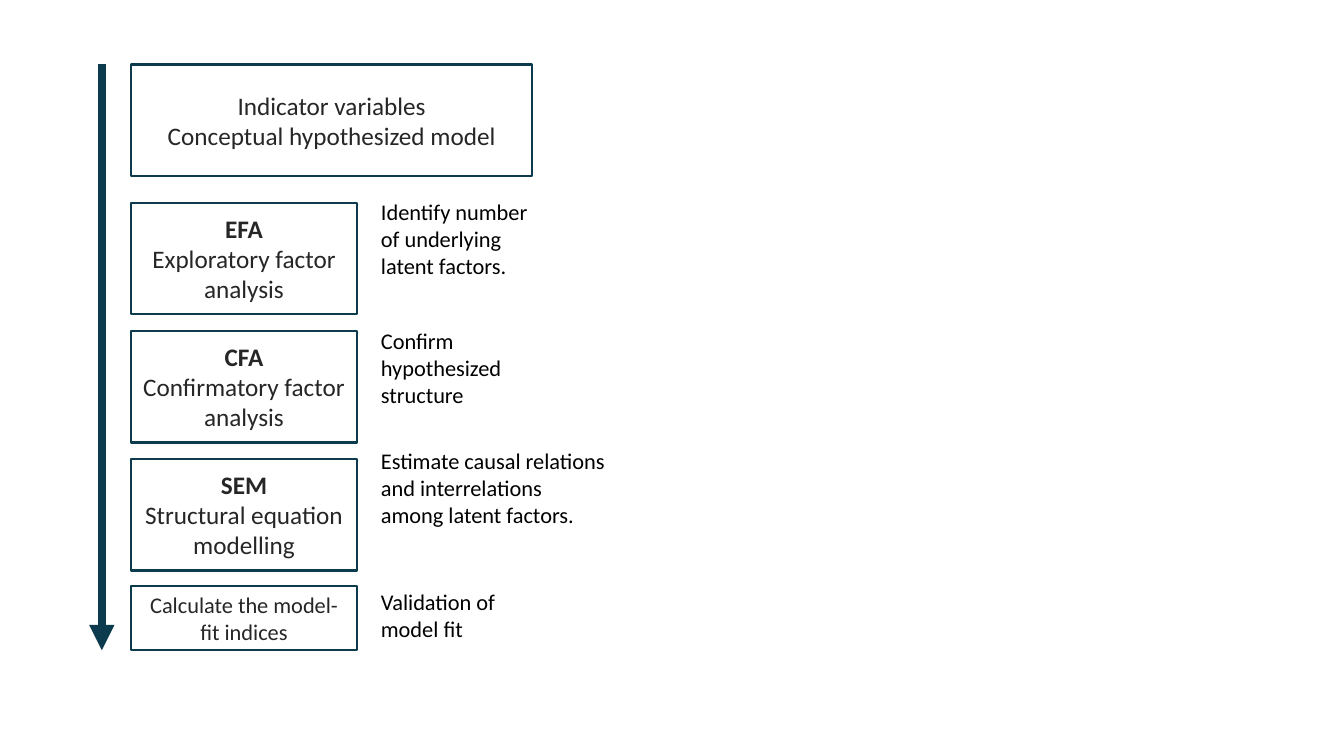
from lxml import etree
from pptx import Presentation
from pptx.dml.color import RGBColor
from pptx.enum.shapes import MSO_CONNECTOR, MSO_SHAPE
from pptx.enum.text import MSO_ANCHOR, MSO_AUTO_SIZE, PP_ALIGN
from pptx.oxml.ns import qn
from pptx.util import Inches, Pt

NAVY = RGBColor(0x0B, 0x3B, 0x4D)
CHARCOAL = RGBColor(0x26, 0x26, 0x26)
BLACK = RGBColor(0x00, 0x00, 0x00)

ARROW_X, STEP_X, NOTE_X = 1.01, 1.3, 3.68
TOP, BOTTOM = 0.64, 6.45
MODEL_WIDTH, STEP_WIDTH, STEP_HEIGHT = 3.98, 2.24, 1.11
FIRST_STEP_Y, STEP_PITCH = 2.01, 1.27
FIT_HEIGHT = 0.64


def write_lines(frame, lines, size, color, align):
    """Write one paragraph for each (text, bold) pair."""
    frame.word_wrap = True
    for index, (text, bold) in enumerate(lines):
        paragraph = frame.paragraphs[0] if index == 0 else frame.add_paragraph()
        paragraph.alignment = align
        run = paragraph.add_run()
        run.text = text
        run.font.name = "Calibri"
        run.font.size = Pt(size)
        run.font.bold = bold
        run.font.color.rgb = color


def add_step(y, width, height, lines, size=18):
    step = slide.shapes.add_shape(
        MSO_SHAPE.RECTANGLE, Inches(STEP_X), Inches(y), Inches(width), Inches(height))
    step.shadow.inherit = False
    step.fill.background()
    step.line.color.rgb = NAVY
    step.line.width = Pt(1.5)
    step.text_frame.vertical_anchor = MSO_ANCHOR.MIDDLE
    write_lines(step.text_frame, lines, size, CHARCOAL, PP_ALIGN.CENTER)


prs = Presentation()
prs.slide_width, prs.slide_height = Inches(13.33), Inches(7.5)
slide = prs.slides.add_slide(prs.slide_layouts[6])

# Steps of the analysis
add_step(TOP, MODEL_WIDTH, STEP_HEIGHT,
         [("Indicator variables", False), ("Conceptual hypothesized model", False)])

analyses = [
    ("EFA", "Exploratory factor analysis"),
    ("CFA", "Confirmatory factor analysis"),
    ("SEM", "Structural equation modelling"),
]
for row, (acronym, meaning) in enumerate(analyses):
    add_step(FIRST_STEP_Y + row * STEP_PITCH, STEP_WIDTH, STEP_HEIGHT,
             [(acronym, True), (meaning, False)])

add_step(BOTTOM - FIT_HEIGHT, STEP_WIDTH, FIT_HEIGHT,
         [("Calculate the model-fit indices", False)], size=16)

# Purpose of each step: top, width, height, text
purposes = [
    (1.92, 1.69, 0.91, "Identify number of underlying latent factors."),
    (3.2, 1.9, 0.91, "Confirm hypothesized structure"),
    (4.39, 2.46, 0.91, "Estimate causal relations and interrelations among latent factors."),
    (5.79, 1.8, 0.64, "Validation of model fit"),
]
for y, width, height, purpose in purposes:
    note = slide.shapes.add_textbox(Inches(NOTE_X), Inches(y), Inches(width), Inches(height))
    note.text_frame.auto_size = MSO_AUTO_SIZE.SHAPE_TO_FIT_TEXT
    write_lines(note.text_frame, [(purpose, False)], 16, BLACK, PP_ALIGN.LEFT)

# Direction of the process
progress = slide.shapes.add_connector(
    MSO_CONNECTOR.STRAIGHT, Inches(ARROW_X), Inches(TOP), Inches(ARROW_X), Inches(BOTTOM))
progress.line.color.rgb = NAVY
progress.line.width = Pt(6)
etree.SubElement(progress.line._get_or_add_ln(), qn("a:tailEnd"), type="triangle")
etree.SubElement(progress._element.spPr, qn("a:effectLst"))

prs.save("out.pptx")
